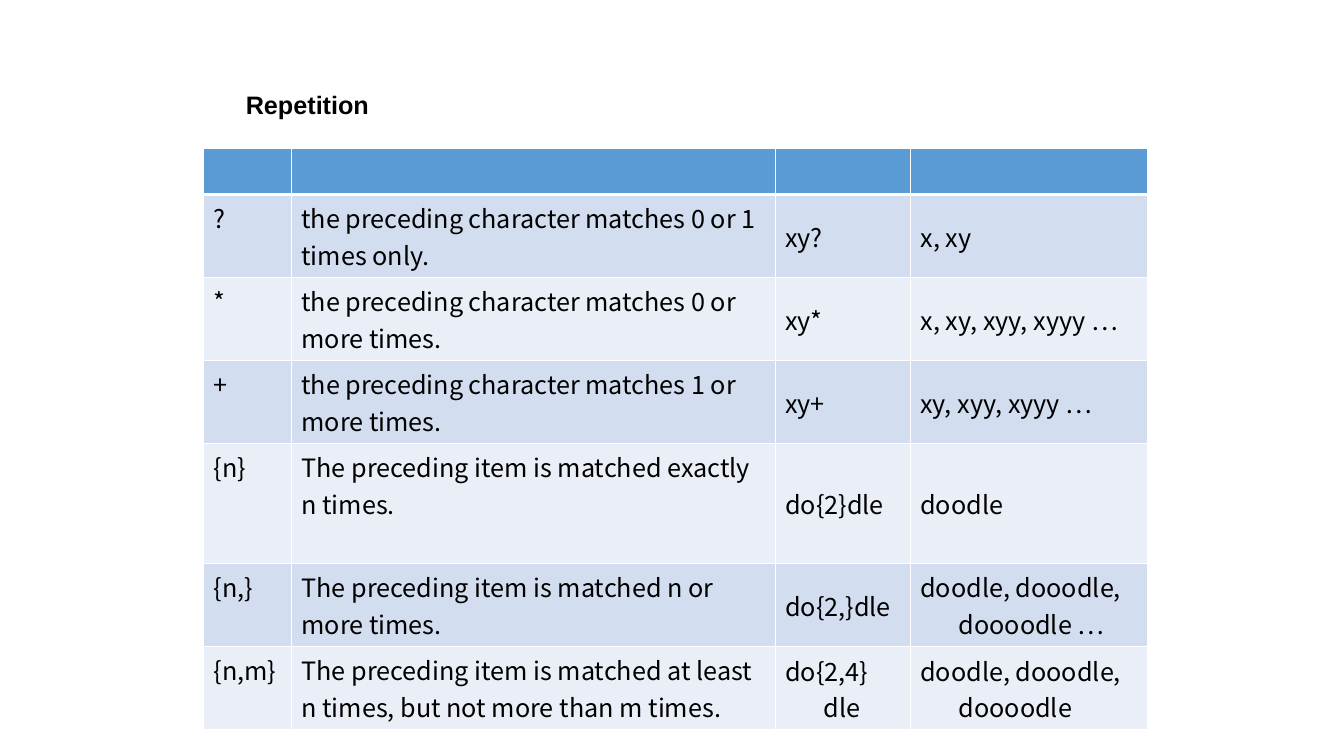
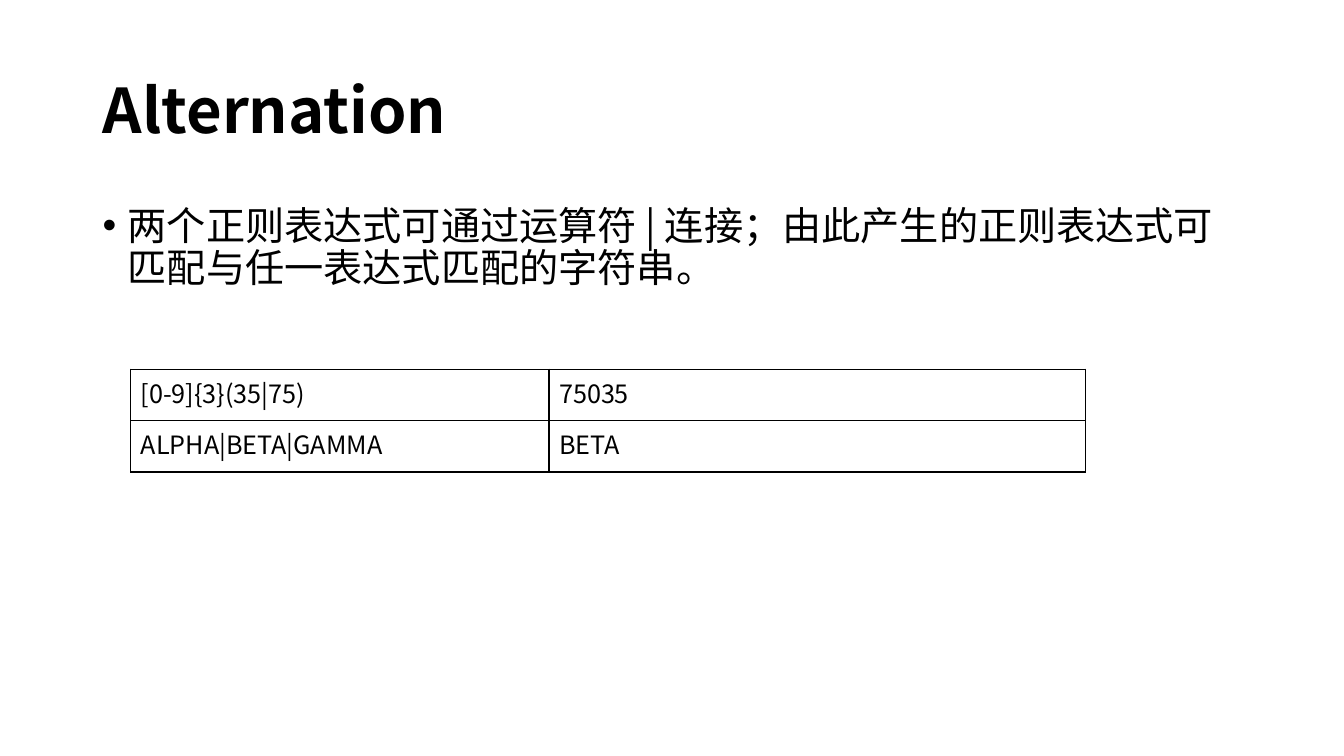
from lxml.etree import SubElement
from pptx import Presentation
from pptx.dml.color import RGBColor
from pptx.enum.text import MSO_ANCHOR as Anchor, MSO_AUTO_SIZE as AutoSize
from pptx.oxml.ns import qn
from pptx.util import Inches, Pt

WIDTH, HEIGHT = Inches(13.33), Inches(7.5)
SANS, ARIAL = "Noto Sans CJK SC", "Arial"
BLACK, WHITE = "000000", "FFFFFF"
HEADER, BANDS = "5B9BD5", ("D2DEEF", "EAEFF7")
HANGING = 0.38

REPETITION_ROWS = [
    ("", "", "", ""),
    ("?", "the preceding character matches 0 or 1 times only.", "xy?", "x, xy"),
    ("*", "the preceding character matches 0 or more times.", "xy*", "x, xy, xyy, xyyy …"),
    ("+", "the preceding character matches 1 or more times.", "xy+", "xy, xyy, xyyy …"),
    ("{n}", "The preceding item is matched exactly n times.", "do{2}dle", "doodle"),
    ("{n,}", "The preceding item is matched n or more times.",
     "do{2,}dle", "doodle, dooodle, doooodle …"),
    ("{n,m}", "The preceding item is matched at least n times, but not more than m times.",
     "do{2,4}dle", "doodle, dooodle, doooodle"),
]
ALTERNATION_ROWS = [("[0-9]{3}(35|75)", "75035"), ("ALPHA|BETA|GAMMA", "BETA")]


# Units and colours
def across(percent):
    return round(WIDTH * percent / 100)


def down(percent):
    return round(HEIGHT * percent / 100)


def colour(value):
    return RGBColor.from_string(value)


# Text
def add_span(para, text, size=18, font=SANS, bold=False):
    span = para.add_run()
    span.text = text
    span.font.size, span.font.name, span.font.bold = Pt(size), font, bold
    span.font.color.rgb = colour(BLACK)
    SubElement(span.font._element, qn("a:ea"), typeface=font)


def hang(para, indent):
    props = para._p.get_or_add_pPr()
    props.set("marL", str(Inches(indent)))
    props.set("indent", str(-Inches(indent)))
    return props


def add_text(page, text, left, top, width, height, anchor=Anchor.TOP,
             spacing=None, bullet=False, grow=False, **style):
    box = page.shapes.add_textbox(across(left), down(top), across(width), down(height))
    frame = box.text_frame
    frame.word_wrap, frame.vertical_anchor = True, anchor
    frame.auto_size = AutoSize.SHAPE_TO_FIT_TEXT if grow else AutoSize.NONE
    para = frame.paragraphs[0]
    if bullet:
        props = hang(para, 0.25)
        SubElement(props, qn("a:buFont"), typeface=ARIAL)
        SubElement(props, qn("a:buChar"), char="•")
    if spacing:
        para.line_spacing = spacing
    add_span(para, text, **style)


# Tables
def set_borders(cell, value, top=1, bottom=1):
    props = cell._tc.get_or_add_tcPr()
    for side, width in zip("LRTB", (1, 1, top, bottom)):
        line = SubElement(props, qn(f"a:ln{side}"), w=str(Pt(width)))
        SubElement(SubElement(line, qn("a:solidFill")), qn("a:srgbClr"), val=value)


def add_grid(page, rows, left, top, widths, heights):
    shape = page.shapes.add_table(len(rows), len(widths), across(left), down(top),
                                  across(sum(widths)), down(sum(heights)))
    table = shape.table
    table.first_row = table.horz_banding = False
    for column, width in zip(table.columns, widths):
        column.width = across(width)
    for row, height in zip(table.rows, heights):
        row.height = down(height)
    for r, texts in enumerate(rows):
        for c, text in enumerate(texts):
            if text:
                add_span(table.cell(r, c).text_frame.paragraphs[0], text)
    return table


def style_banded(table):
    for r, row in enumerate(table.rows):
        for c, cell in enumerate(row.cells):
            set_borders(cell, WHITE, top=3 if r == 1 else 1, bottom=3 if r == 0 else 1)
            cell.fill.solid()
            cell.fill.fore_color.rgb = colour(BANDS[(r - 1) % 2] if r else HEADER)
            if r and c >= 2:
                cell.vertical_anchor = Anchor.MIDDLE
                hang(cell.text_frame.paragraphs[0], HANGING)


def style_outlined(table):
    for cell in table.iter_cells():
        set_borders(cell, BLACK)
        cell.fill.background()


# Slides
def add_repetition(page):
    table = add_grid(page, REPETITION_ROWS, 15.15, 19.6, (6.53, 36, 10.05, 17.7),
                     (6.13, 9.33, 9.33, 9.33, 15.87, 9.33, 9.33))
    style_banded(table)
    add_text(page, "Repetition", 17.55, 11.2, 42.61, 5.33, grow=True, font=ARIAL, bold=True)


def add_alternation(page):
    add_text(page, "Alternation", 6.9, 5.33, 86.27, 19.33,
             anchor=Anchor.MIDDLE, spacing=0.9, size=44, bold=True)
    add_text(page, "两个正则表达式可通过运算符 | 连接；由此产生的正则表达式可匹配与任一表达式匹配的字符串。",
             6.9, 26.67, 86.27, 63.47, spacing=0.9, bullet=True, size=28)
    table = add_grid(page, ALTERNATION_ROWS, 9.72, 48.85, (31.13, 39.91), (6.8, 6.8))
    style_outlined(table)


def main():
    deck = Presentation()
    deck.slide_width, deck.slide_height = WIDTH, HEIGHT
    for build in (add_repetition, add_alternation):
        build(deck.slides.add_slide(deck.slide_layouts[6]))
    deck.save("out.pptx")


if __name__ == "__main__":
    main()
